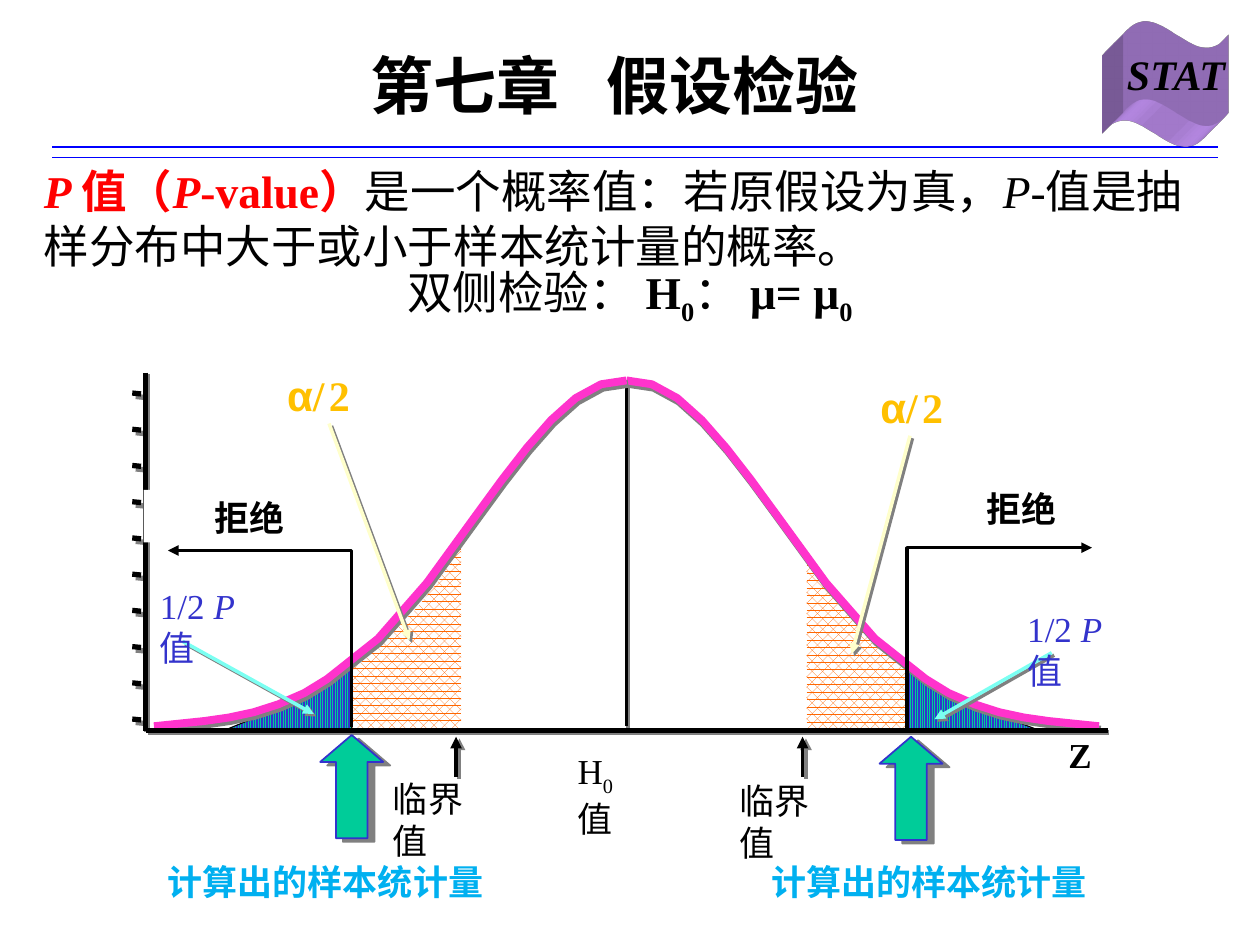
"""Build the slide on the P-value of a two-sided hypothesis test."""
import math

import lxml.etree
import pptx
import pptx.dml.color
import pptx.enum.dml
import pptx.enum.shapes
import pptx.enum.text
import pptx.oxml.ns
import pptx.util

Pt = pptx.util.Pt
RGBColor = pptx.dml.color.RGBColor
qn = pptx.oxml.ns.qn
SHAPES = pptx.enum.shapes.MSO_SHAPE
ALIGN = pptx.enum.text.PP_ALIGN
PATTERNS = pptx.enum.dml.MSO_PATTERN

BLACK = RGBColor(0, 0, 0)
WHITE = RGBColor(255, 255, 255)
RED = RGBColor(255, 0, 0)
RULE_BLUE = RGBColor(0, 0, 255)
PURPLE = RGBColor(0xCC, 0x99, 0xFF)
GOLD = RGBColor(0xFF, 0xC0, 0)
ORANGE = RGBColor(0xFF, 0x66, 0)
GREEN = RGBColor(0, 0xCC, 0x99)
INDIGO = RGBColor(0x33, 0x33, 0xCC)
PINK = RGBColor(0xFF, 0x33, 0xCC)
CREAM = RGBColor(0xFF, 0xFF, 0xCC)
AQUA = RGBColor(0x7B, 0xFF, 0xF2)
SKY = RGBColor(0, 0xB0, 0xF0)
GRAY = RGBColor(0x80, 0x80, 0x80)

LATIN = "Times New Roman"
CHINESE = "Noto Sans CJK SC"
CENTER, BASE = 358, 417.6
HALF_CURVE = [(270, 415), (241, 412), (227, 410), (213, 407), (199, 402.5), (184, 396),
              (171, 388), (142, 365), (114, 333), (86, 294.5), (71, 274), (57, 256),
              (43, 240), (29, 227.5), (14.5, 219.6), (0, 217.4)]
CRITICAL_EDGE = [(0, 0), (.05, .12), (.11, .23), (.19, .35), (.27, .45), (.35, .55),
                 (.44, .65), (.54, .73), (.65, .81), (.76, .88), (.88, .95), (1, 1)]
P_EDGE = [(0, 0), (.39, .5), (1, 1)]


def add_shadow(parent, distance, angle=45):
    """Return an effect list with a gray shadow, or an empty one at no distance."""
    effects = lxml.etree.SubElement(parent, qn("a:effectLst"))
    if distance:
        outer = lxml.etree.SubElement(effects, qn("a:outerShdw"), dist=str(Pt(distance)),
                                      dir=str(angle * 60000), algn="ctr", rotWithShape="0")
        lxml.etree.SubElement(outer, qn("a:srgbClr"), val=str(GRAY))
    return effects


def set_line(shape, color, width, arrow=False, shadow=0, angle=45):
    """Style an outline or line, with its arrowhead and shadow."""
    shape.line.color.rgb = color
    shape.line.width = Pt(width)
    if arrow:
        lxml.etree.SubElement(shape.line._get_or_add_ln(), qn("a:tailEnd"), type="triangle")
    add_shadow(shape._element.spPr, shadow, angle)


def add_line(slide, start, end, color, width, **style):
    """Draw a straight line between two points."""
    line = slide.shapes.add_connector(pptx.enum.shapes.MSO_CONNECTOR.STRAIGHT,
                                      *(Pt(value) for value in start + end))
    set_line(line, color, width, **style)


def add_outline(slide, points, close=False):
    """Build a freeform through the points."""
    corners = [(Pt(x), Pt(y)) for x, y in points]
    builder = slide.shapes.build_freeform(*corners[0], scale=1.0)
    builder.add_line_segments(corners[1:], close=close)
    return builder.convert_to_shape()


def add_path(slide, points, color, width, **style):
    """Draw an open path."""
    path = add_outline(slide, points)
    path.fill.background()
    set_line(path, color, width, **style)


def add_tail(slide, edge, outer, top, fractions, pattern, front, back, outlined=False):
    """Draw a patterned area under the curve from its inner edge outwards."""
    points = [(edge, BASE)] + [(edge + (outer - edge) * across, top + (BASE - top) * down)
                               for across, down in fractions]
    tail = add_outline(slide, points, close=True)
    tail.fill.patterned()
    tail.fill.pattern = pattern
    tail.fill.fore_color.rgb = front
    tail.fill.back_color.rgb = back
    if outlined:
        set_line(tail, BLACK, 0.63)
    else:
        tail.line.fill.background()
        add_shadow(tail._element.spPr, 0)


def add_span(para, text, size, color, bold=False, italic=False, font=LATIN,
             subscript=False, shadow=False):
    """Add one run of text."""
    span = para.add_run()
    span.text = text
    span.font.size = Pt(size)
    span.font.bold = bold
    span.font.italic = italic
    span.font.color.rgb = color
    span.font.name = font
    props = span.font._element
    lxml.etree.SubElement(props, qn("a:ea"), typeface=CHINESE)
    if subscript:
        props.set("baseline", "-25000")
    if shadow:
        props.find(qn("a:latin")).addprevious(add_shadow(props, 2))


def fill_text(box, paragraphs, align=ALIGN.LEFT, margins=(7.2, 3.6), middle=False, wrap=True):
    """Fill a shape with paragraphs, each a list of run arguments."""
    frame = box.text_frame
    frame.word_wrap = wrap
    frame.margin_left = frame.margin_right = Pt(margins[0])
    frame.margin_top = frame.margin_bottom = Pt(margins[1])
    anchors = pptx.enum.text.MSO_ANCHOR
    frame.vertical_anchor = anchors.MIDDLE if middle else anchors.TOP
    for index, spans in enumerate(paragraphs):
        para = frame.add_paragraph() if index else frame.paragraphs[0]
        para.alignment = align
        for text, size, color, style in spans:
            add_span(para, text, size, color, **style)
    return frame.paragraphs


def add_text(slide, area, paragraphs, **layout):
    """Add a text box."""
    box = slide.shapes.add_textbox(*(Pt(value) for value in area))
    return fill_text(box, paragraphs, **layout)


def add_block(slide, kind, area, fill):
    """Add a filled preset shape without outline."""
    block = slide.shapes.add_shape(kind, *(Pt(value) for value in area))
    block.fill.solid()
    block.fill.fore_color.rgb = fill
    block.line.fill.background()
    return block


def add_badge(slide):
    """Add the extruded wave with the course mark."""
    badge = add_block(slide, SHAPES.WAVE, (642, 12, 60, 60), PURPLE)
    badge.adjustments[0], badge.adjustments[1] = 0.13, 0
    badge.shadow.inherit = False
    props = badge._element.spPr
    scene = lxml.etree.SubElement(props, qn("a:scene3d"))
    lxml.etree.SubElement(scene, qn("a:camera"), prst="legacyObliqueBottomLeft")
    lxml.etree.SubElement(scene, qn("a:lightRig"), rig="legacyFlat3", dir="l")
    solid = lxml.etree.SubElement(props, qn("a:sp3d"), extrusionH="430200",
                                  prstMaterial="legacyMatte")
    color = lxml.etree.SubElement(solid, qn("a:extrusionClr"))
    lxml.etree.SubElement(color, qn("a:srgbClr"), val=str(PURPLE))
    fill_text(badge, [[("STAT", 24, BLACK, {"bold": True, "italic": True})]],
              align=ALIGN.CENTER, middle=True, wrap=False)


def add_heading(slide):
    """Add the title, the double rule and the definition."""
    bold, italic = {"bold": True}, {"italic": True}
    both, sub = {**bold, **italic}, {**bold, "subscript": True}
    add_text(slide, (36, 24, 630, 48),
             [[("第七章", 36, BLACK, bold), ("　", 27, BLACK, bold), ("假设检验", 36, BLACK, bold)]],
             align=ALIGN.CENTER, middle=True)
    for y in (84, 90):
        add_line(slide, (30, y), (696, y), RULE_BLUE, 0.75)
    add_badge(slide)
    definition = [("P ", RED, both), ("值（", RED, bold), ("P", RED, both), ("-value）", RED, bold),
                  ("是一个概率值：若原假设为真，", BLACK, {}), ("P-", BLACK, italic),
                  ("值是抽样分布中大于或小于样本统计量的概率。", BLACK, {})]
    hypothesis = [("双侧检验：", BLACK, {"font": CHINESE}), (" H", BLACK, bold), ("0", BLACK, sub),
                  ("：", BLACK, {}), (" μ= μ", BLACK, bold), ("0", BLACK, sub)]
    paras = add_text(slide, (18, 90, 684, 432),
                     [[(text, 26, color, style) for text, color, style in spans]
                      for spans in (definition, hypothesis)])
    for para in paras:
        para.line_spacing = Pt(31)
    paras[1].alignment = ALIGN.CENTER


def add_curve(slide):
    """Add the axes, the shaded tails and the bell curve."""
    add_line(slide, (CENTER, 220), (CENTER, 415), BLACK, 2, shadow=1.4)
    for edge, outer, top in ((263.5, 130.3, 309.6), (461, 587.5, 314.6)):
        add_tail(slide, edge, outer, top, CRITICAL_EDGE, PATTERNS.PERCENT_60, ORANGE, WHITE)
    for edge, outer, top in ((201, 127.5, 381), (518.4, 594.5, 382.5)):
        add_tail(slide, edge, outer, top, P_EDGE, PATTERNS.LIGHT_VERTICAL, GREEN, INDIGO, True)
    for side in (1, -1):
        add_path(slide, [(CENTER + side * x, y) for x, y in HALF_CURVE], PINK, 4.5,
                 shadow=2.2, angle=63)
    for index in range(10):
        y = 224.6 + 20.7 * index
        add_line(slide, (75.6, y), (80.6, y + 0.5), BLACK, 3, shadow=2.8)
    add_line(slide, (83, 213), (83, BASE), BLACK, 3, shadow=1.4)
    add_line(slide, (83.5, BASE), (633, BASE), BLACK, 2.88, shadow=1.4)


def add_side(slide, alpha, pointer, reject, bracket, p_label, p_arrow, critical, arrow, statistic):
    """Add the labels and arrows of one tail."""
    bold, soft = {"bold": True}, {"shadow": True}
    add_text(slide, alpha, [[("α", 24, GOLD, {"bold": True, "font": "Arial"}), ("/", 24, GOLD, bold),
                             (" ", 10, GOLD, bold), ("2", 24, GOLD, bold)]])
    rejected = add_block(slide, SHAPES.RECTANGLE, reject, WHITE)
    rejected.shadow.inherit = False
    fill_text(rejected, [[("拒绝", 20, BLACK, bold)]], align=ALIGN.CENTER)
    add_path(slide, bracket, BLACK, 2, arrow=True)
    add_line(slide, *pointer, CREAM, 2, arrow=True, shadow=2)
    add_line(slide, *p_arrow, AQUA, 2, arrow=True, shadow=2)
    add_text(slide, (*p_label, 48, 46), [[("1/2 ", 20, INDIGO, soft),
             ("P ", 20, INDIGO, {"italic": True, **soft}), ("值", 20, INDIGO, soft)]], margins=(0, 0))
    add_text(slide, (*critical, 50, 46), [[("临界值", 20, BLACK, soft)]], margins=(0, 0))
    x = critical[0] + 36
    add_line(slide, (x, 444), (x, 421), BLACK, 2.25, arrow=True, shadow=2.2, angle=27)
    block = add_block(slide, SHAPES.UP_ARROW, (*arrow, 36, 59), GREEN)
    block.adjustments[0], block.adjustments[1] = 0.5, 0.427
    set_line(block, INDIGO, 1, shadow=4.5, angle=27)
    add_text(slide, (statistic, 488, 252, 30),
             [[("计算出的样本统计量", 20, SKY, {**bold, **soft})]], align=ALIGN.CENTER)


def main():
    """Build and save the deck."""
    deck = pptx.Presentation()
    deck.slide_width, deck.slide_height = Pt(720), Pt(540)
    slide = deck.slides.add_slide(deck.slide_layouts[6])
    add_heading(slide)
    add_curve(slide)
    add_side(slide, (157, 207.4, 74, 34.6), ((188, 242), (234, 366)), (82, 280, 121.7, 30),
             [(201, 415.5), (201, 314.6), (96, 314.6)], (91.4, 334),
             ((104.4, 366.5), (179.3, 408)), (224.6, 444), (183, 420), 60)
    add_side(slide, (496, 214.6, 67, 34.6), ((520, 249), (486.7, 373.7)), (530, 275, 107, 30),
             [(518.4, 416), (518.4, 313), (624, 313)], (587, 347),
             ((601, 373), (534, 411)), (422.6, 445.7), (502.6, 421), 405)
    soft = {"shadow": True}
    add_text(slide, (330, 428.4, 26, 52), [[("H", 20, BLACK, soft),
             ("0", 20, BLACK, {"subscript": True, **soft}), ("值", 20, BLACK, soft)]], margins=(0, 0))
    add_text(slide, (610.5, 419, 14, 23), [[("Z", 20, BLACK, {"bold": True})]],
             margins=(0, 0), wrap=False)
    deck.save("out.pptx")


if __name__ == "__main__":
    main()
